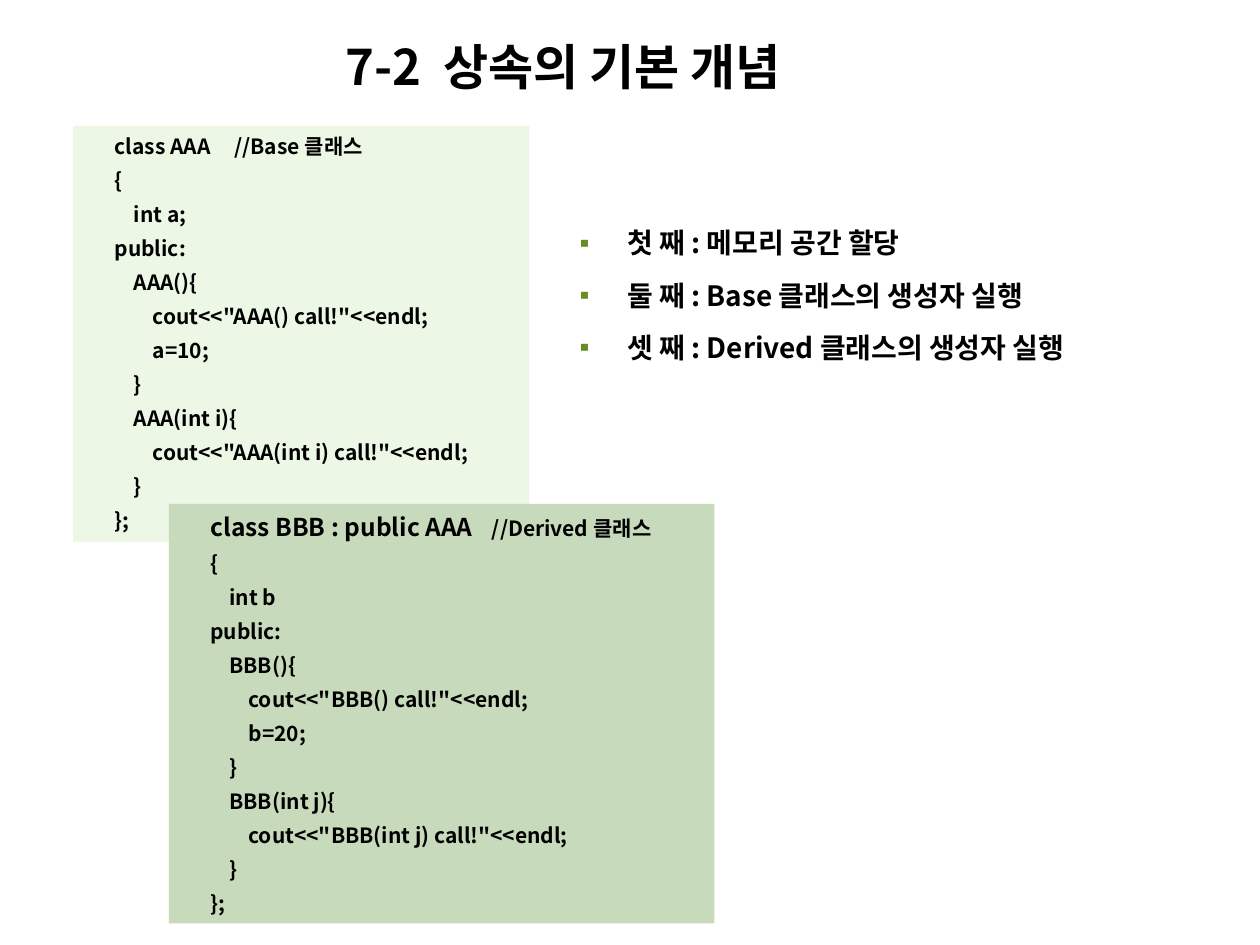
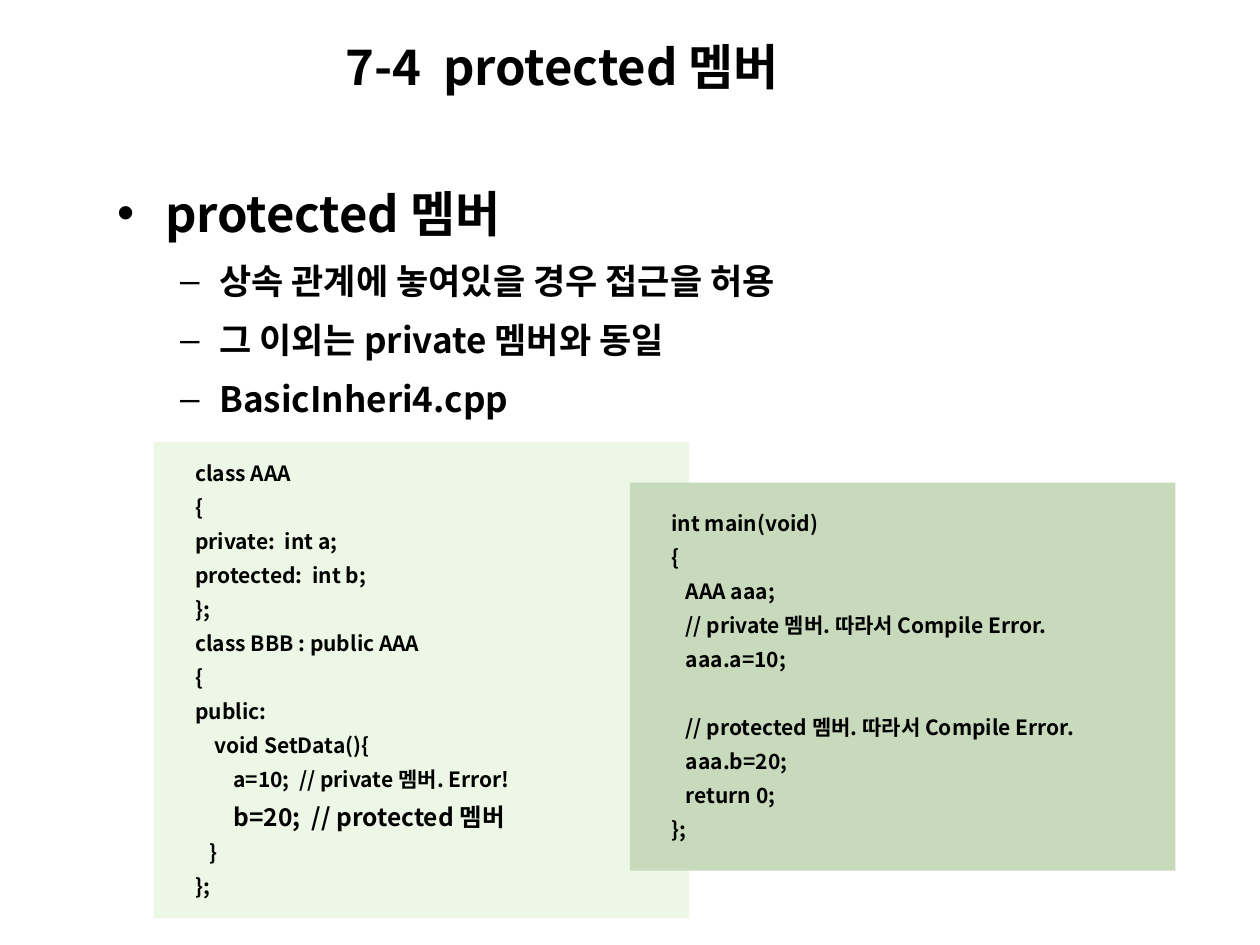
import lxml.etree
import pptx
import pptx.dml.color
import pptx.enum.shapes
import pptx.enum.text
import pptx.oxml.ns
import pptx.util

Inches = pptx.util.Inches
Pt = pptx.util.Pt
RGBColor = pptx.dml.color.RGBColor
Anchor = pptx.enum.text.MSO_ANCHOR
Align = pptx.enum.text.PP_ALIGN
qn = pptx.oxml.ns.qn

BLACK = RGBColor(0x00, 0x00, 0x00)
WHITE = RGBColor(0xFF, 0xFF, 0xFF)
BULLET_GREEN = RGBColor(0x68, 0x8D, 0x25)
LIGHT_GREEN = RGBColor(0xED, 0xF7, 0xE5)
DARK_GREEN = RGBColor(0xC8, 0xDA, 0xBC)

FONT = "Noto Sans CJK KR"
WIDE_SPACING = 1.35
LIST_SPACING = 1.2
CODE_SIZE = 12
LARGE_CODE_SIZE = 14
BLANK_LINE = Pt(19.5)

TEXT_FRAME = {
    "word_wrap": True,
    "auto_size": pptx.enum.text.MSO_AUTO_SIZE.NONE,
    "margin_left": Inches(0.1),
    "margin_top": Inches(0.05),
    "margin_right": Inches(0.1),
    "margin_bottom": Inches(0.05),
    "vertical_anchor": Anchor.MIDDLE,
}
CODE_FRAME = {
    **TEXT_FRAME,
    "margin_left": Inches(0.33),
    "margin_top": Inches(0.13),
    "margin_bottom": Inches(0.21),
}

STEP = {"size": 16, "mark": "▪", "color": BULLET_GREEN, "left": 0.38,
        "hanging": 0.38, "before": 4, "spacing": WIDE_SPACING, "level": 0}
TOPIC = {"size": 28, "mark": "•", "color": BLACK, "left": 0.38,
         "hanging": 0.38, "before": 7, "spacing": LIST_SPACING, "level": 0}
DETAIL = {"size": 20, "mark": "–", "color": BLACK, "left": 0.81,
          "hanging": 0.31, "before": 5, "spacing": LIST_SPACING, "level": 1}

BASE_CLASS = """class AAA     //Base 클래스
{
    int a;
public:
    AAA(){
        cout<<"AAA() call!"<<endl;
        a=10;
    }
    AAA(int i){
        cout<<"AAA(int i) call!"<<endl;
    }
};"""

DERIVED_CLASS = """class BBB : public AAA    //Derived 클래스
{
    int b
public:
    BBB(){
        cout<<"BBB() call!"<<endl;
        b=20;
    }
    BBB(int j){
        cout<<"BBB(int j) call!"<<endl;
    }
};"""

PROTECTED_CLASSES = """class AAA
{
private:  int a;
protected:  int b;
};
class BBB : public AAA
{
public:
    void SetData(){
        a=10;  // private 멤버. Error!
        b=20;  // protected 멤버
   }
};"""

MAIN_FUNCTION = """int main(void)
{
   AAA aaa;
   // private 멤버. 따라서 Compile Error.
   aaa.a=10;

   // protected 멤버. 따라서 Compile Error.
   aaa.b=20;
   return 0;
};"""


def apply(target, values):
    for name, value in values.items():
        setattr(target, name, value)


def place(shape, left, top, width, height):
    apply(shape, {"left": Inches(left), "top": Inches(top),
                  "width": Inches(width), "height": Inches(height)})


class LessonDeck:
    def __init__(self):
        self.presentation = pptx.Presentation()
        apply(self.presentation, {"slide_width": Inches(10), "slide_height": Inches(7.5)})
        self.slide = None

    def add_slide(self, title, width):
        layout = self.presentation.slide_layouts[1]
        self.slide = self.presentation.slides.add_slide(layout)
        shape = self.slide.shapes.title
        place(shape, 2.64, 0.24, width, 0.57)
        apply(shape.text_frame, TEXT_FRAME)
        paragraph = shape.text_frame.paragraphs[0]
        paragraph.alignment = Align.LEFT
        self.add_run(paragraph, title, 28)

    def add_run(self, paragraph, text, size):
        run = paragraph.add_run()
        run.text = text
        run.font.color.rgb = BLACK
        apply(run.font, {"size": Pt(size), "bold": True, "name": FONT})
        properties = run._r.get_or_add_rPr()
        lxml.etree.SubElement(properties, qn("a:ea")).set("typeface", FONT)

    def add_paragraph(self, frame, first):
        return frame.paragraphs[0] if first else frame.add_paragraph()

    def add_bullet(self, paragraph, style):
        properties = paragraph._p.get_or_add_pPr()
        properties.set("marL", str(Inches(style["left"])))
        properties.set("indent", str(-Inches(style["hanging"])))
        color = lxml.etree.SubElement(properties, qn("a:buClr"))
        lxml.etree.SubElement(color, qn("a:srgbClr")).set("val", str(style["color"]))
        lxml.etree.SubElement(properties, qn("a:buChar")).set("char", style["mark"])

    def add_list(self, position, items, anchor, fill=None):
        shape = self.slide.placeholders[1]
        place(shape, *position)
        if fill is not None:
            shape.fill.solid()
            shape.fill.fore_color.rgb = fill
        apply(shape.text_frame, {**TEXT_FRAME, "vertical_anchor": anchor})
        for index, (text, style) in enumerate(items):
            paragraph = self.add_paragraph(shape.text_frame, index == 0)
            self.add_bullet(paragraph, style)
            apply(paragraph, {
                "level": style["level"],
                "line_spacing": style["spacing"],
                "space_before": Pt(style["before"] if index else 0),
            })
            self.add_run(paragraph, text, style["size"])

    def add_code(self, position, code, fill, large=None):
        shape = self.slide.shapes.add_shape(
            pptx.enum.shapes.MSO_SHAPE.RECTANGLE, *map(Inches, position))
        shape.shadow.inherit = False
        shape.fill.solid()
        shape.fill.fore_color.rgb = fill
        shape.line.fill.background()
        apply(shape.text_frame, CODE_FRAME)
        gap = Pt(0)
        for index, line in enumerate(code.splitlines()):
            if not line:
                gap = BLANK_LINE
                continue
            paragraph = self.add_paragraph(shape.text_frame, index == 0)
            apply(paragraph, {"alignment": Align.LEFT, "line_spacing": WIDE_SPACING,
                              "space_before": gap})
            gap = Pt(0)
            parts = line.partition(large) if large else (line,)
            for text in filter(None, parts):
                size = LARGE_CODE_SIZE if text == large else CODE_SIZE
                self.add_run(paragraph, text, size)


def main():
    deck = LessonDeck()

    deck.add_slide("7-2  상속의 기본 개념", 4.25)
    steps = ["첫 째 : 메모리 공간 할당",
             "둘 째 : Base 클래스의 생성자 실행",
             "셋 째 : Derived 클래스의 생성자 실행"]
    deck.add_list((4.5, 1.5, 4.5, 1.59), [(text, STEP) for text in steps],
                  Anchor.MIDDLE, WHITE)
    deck.add_code((0.58, 1, 3.62, 3.3), BASE_CLASS, LIGHT_GREEN)
    deck.add_code((1.34, 4, 4.33, 3.33), DERIVED_CLASS, DARK_GREEN,
                  "class BBB : public AAA")

    deck.add_slide("7-4  protected 멤버", 3.86)
    details = ["상속 관계에 놓여있을 경우 접근을 허용",
               "그 이외는 private 멤버와 동일",
               "BasicInheri4.cpp"]
    deck.add_list((0.83, 1.31, 6.14, 2.07),
                  [("protected 멤버", TOPIC)] + [(text, DETAIL) for text in details],
                  Anchor.TOP)
    deck.add_code((1.22, 3.51, 4.25, 3.78), PROTECTED_CLASSES, LIGHT_GREEN,
                  "b=20;  // protected 멤버")
    deck.add_code((5, 3.83, 4.33, 3.08), MAIN_FUNCTION, DARK_GREEN)

    deck.presentation.save("out.pptx")


if __name__ == "__main__":
    main()
